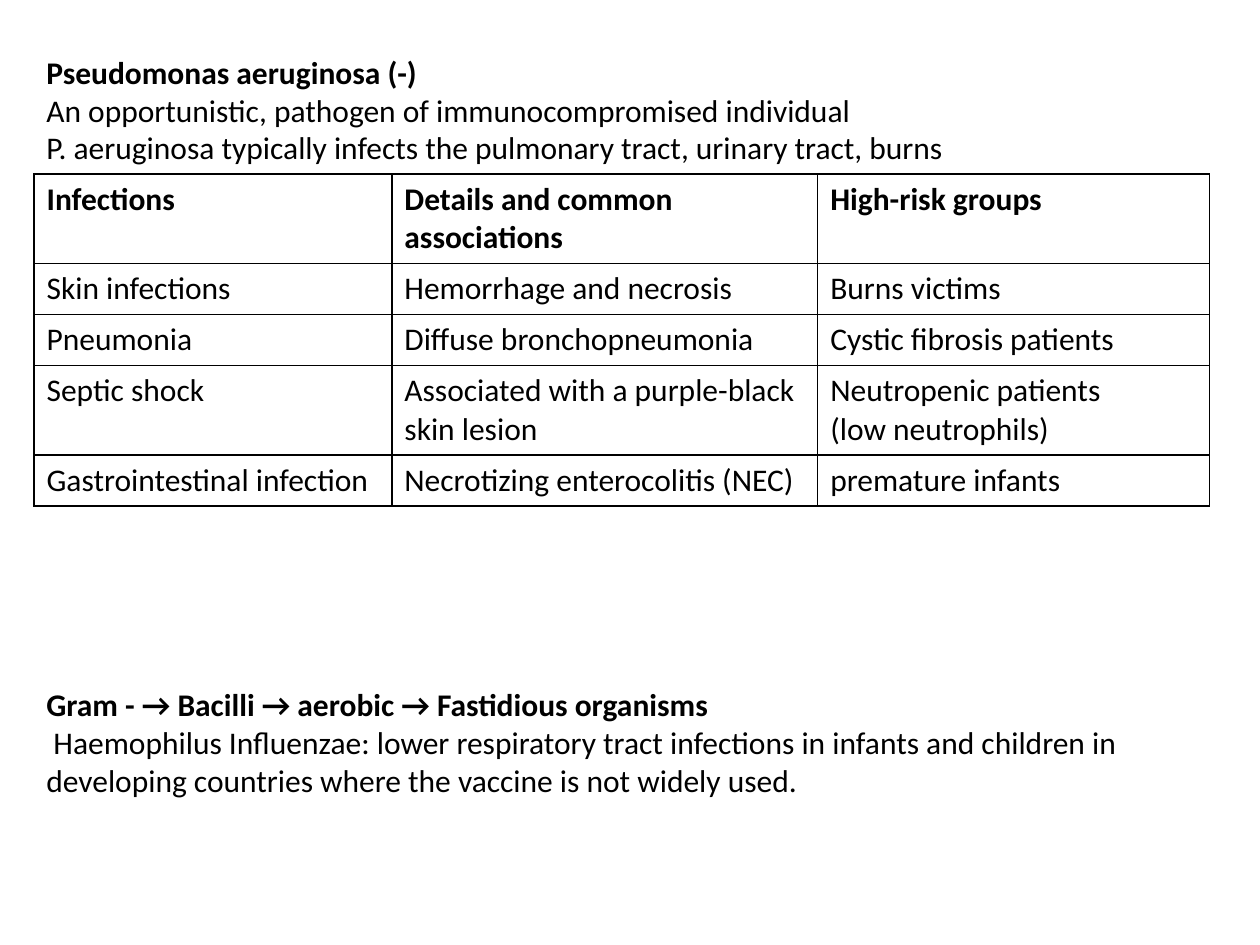
from lxml.etree import SubElement
from pptx import Presentation
from pptx.dml.color import RGBColor
from pptx.enum.text import MSO_ANCHOR, MSO_AUTO_SIZE
from pptx.oxml.ns import qn
from pptx.util import Inches, Pt

BLACK = "000000"
WHITE = "FFFFFF"
LEFT = 0.27

PSEUDOMONAS_LINES = [
    "Pseudomonas aeruginosa (-)",
    "An opportunistic, pathogen of immunocompromised individual",
    "P. aeruginosa typically infects the pulmonary tract, urinary tract, burns",
]
INFECTION_ROWS = [
    ["Infections", "Details and common associations", "High-risk groups"],
    ["Skin infections", "Hemorrhage and necrosis", "Burns victims"],
    ["Pneumonia", "Diffuse bronchopneumonia", "Cystic fibrosis patients"],
    ["Septic shock", "Associated with a purple-black skin lesion",
     "Neutropenic patients\n(low neutrophils)"],
    ["Gastrointestinal infection", "Necrotizing enterocolitis (NEC)", "premature infants"],
]
COLUMN_WIDTHS = [2.84, 3.38, 3.11]
ROW_HEIGHTS = [0.7, 0.4, 0.4, 0.7, 0.4]
HAEMOPHILUS_LINES = [
    "Gram - → Bacilli → aerobic → Fastidious organisms",
    " Haemophilus Influenzae: lower respiratory tract infections in infants and children in "
    "developing countries where the vaccine is not widely used.",
]


def color(value):
    return RGBColor.from_string(value)


class SlideBuilder:
    font_format = {"name": "Calibri", "size": Pt(18)}
    border_sides = ("a:lnL", "a:lnR", "a:lnT", "a:lnB")

    def __init__(self, slide):
        self.slide = slide

    def fill_text(self, text_frame, lines, bold_lines):
        text_frame.text = "\n".join(lines)
        for index, paragraph in enumerate(text_frame.paragraphs):
            values = {**self.font_format, "bold": index < bold_lines}
            for name, value in values.items():
                setattr(paragraph.font, name, value)
            paragraph.font.color.rgb = color(BLACK)

    def text(self, left, top, width, height, lines):
        shape = self.slide.shapes.add_textbox(
            Inches(left), Inches(top), Inches(width), Inches(height))
        frame_format = {
            "word_wrap": True,
            "auto_size": MSO_AUTO_SIZE.NONE,
            "vertical_anchor": MSO_ANCHOR.TOP,
        }
        for name, value in frame_format.items():
            setattr(shape.text_frame, name, value)
        self.fill_text(shape.text_frame, lines, bold_lines=1)

    def border(self, cell):
        properties = cell._tc.get_or_add_tcPr()
        for position, side in enumerate(self.border_sides):
            line = SubElement(properties, qn(side), w=str(Pt(1)))
            fill = SubElement(line, qn("a:solidFill"))
            SubElement(fill, qn("a:srgbClr"), val=BLACK)
            properties.insert(position, line)

    def table(self, left, top, column_widths, row_heights, rows):
        table = self.slide.shapes.add_table(
            len(rows), len(column_widths), Inches(left), Inches(top),
            Inches(sum(column_widths)), Inches(sum(row_heights))).table
        for column, width in zip(table.columns, column_widths):
            column.width = Inches(width)
        for row_index, (row, height, texts) in enumerate(zip(table.rows, row_heights, rows)):
            row.height = Inches(height)
            for cell, text in zip(row.cells, texts):
                lines = text.split("\n")
                self.fill_text(cell.text_frame, lines, len(lines) if row_index == 0 else 0)
                cell.fill.solid()
                cell.fill.fore_color.rgb = color(WHITE)
                self.border(cell)


def main():
    presentation = Presentation()
    presentation.slide_width = Inches(10)
    presentation.slide_height = Inches(7.5)
    builder = SlideBuilder(presentation.slides.add_slide(presentation.slide_layouts[6]))
    builder.text(LEFT, 0.37, 9.54, 1.01, PSEUDOMONAS_LINES)
    builder.table(LEFT, 1.38, COLUMN_WIDTHS, ROW_HEIGHTS, INFECTION_ROWS)
    builder.text(LEFT, 5.39, 9.2, 1.31, HAEMOPHILUS_LINES)
    presentation.save("out.pptx")


if __name__ == "__main__":
    main()
